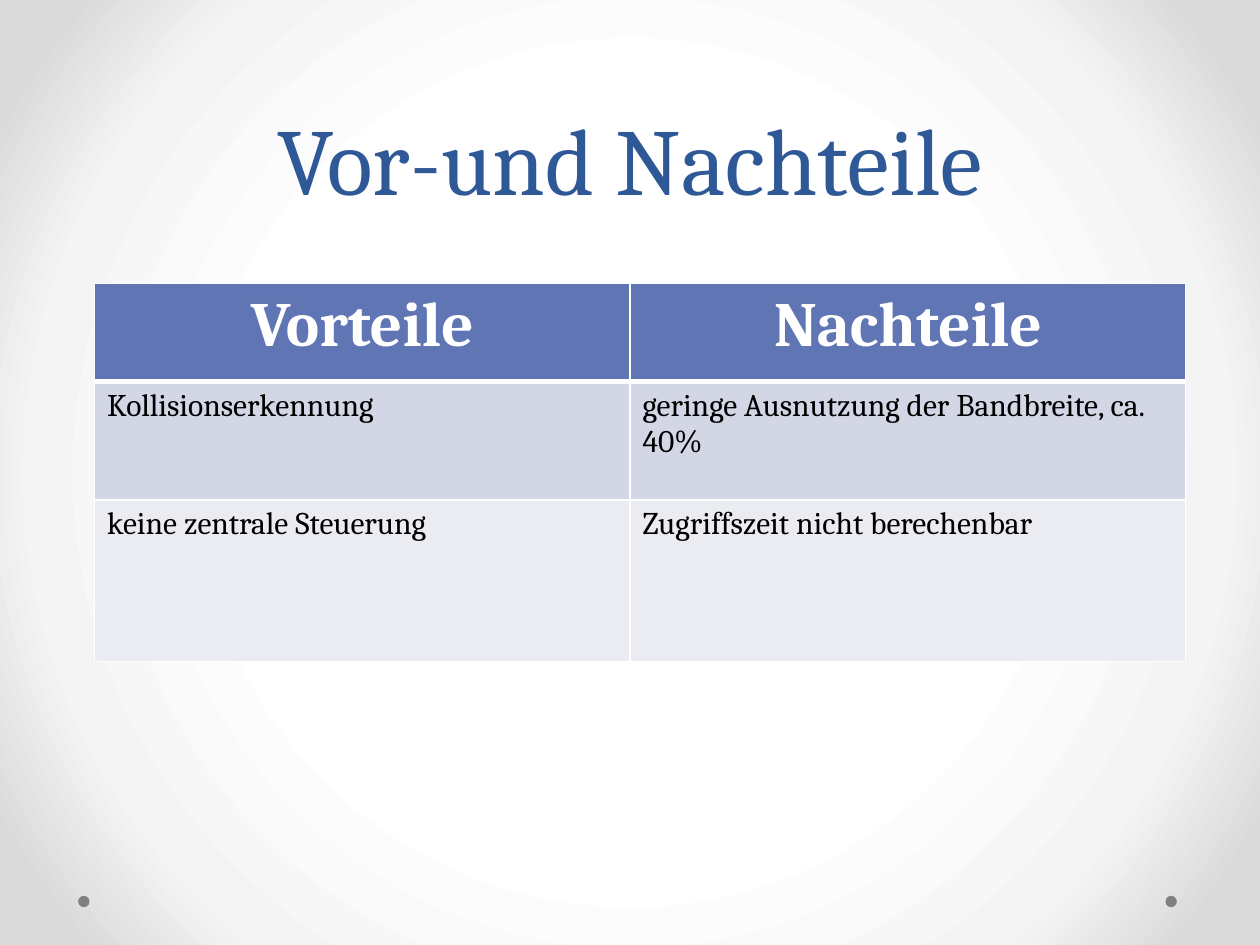
from lxml import etree
from pptx import Presentation
from pptx.dml.color import RGBColor
from pptx.enum.shapes import MSO_SHAPE
from pptx.enum.text import MSO_ANCHOR, PP_ALIGN
from pptx.oxml.ns import qn
from pptx.util import Inches, Pt

OVAL = MSO_SHAPE.OVAL
BOTTOM = MSO_ANCHOR.BOTTOM
CENTER, LEFT = PP_ALIGN.CENTER, PP_ALIGN.LEFT

FONT = "Cambria"
WHITE = RGBColor(0xFF, 0xFF, 0xFF)
BLACK = RGBColor(0x00, 0x00, 0x00)
GREY = RGBColor(0x80, 0x80, 0x80)
TITLE_BLUE = RGBColor(0x2F, 0x58, 0x97)
HEADER_BLUE = RGBColor(0x60, 0x76, 0xB4)
BAND_DARK = RGBColor(0xD2, 0xD6, 0xE5)
BAND_LIGHT = RGBColor(0xEA, 0xEC, 0xF2)
GRADIENT_STOPS = [
    (50, WHITE),
    (76, RGBColor(0xF4, 0xF4, 0xF4)),
    (92, RGBColor(0xDA, 0xDA, 0xDA)),
]

TITLE_FORMAT = {"name": FONT, "size": Pt(54), "bold": False}
HEADER_FORMAT = {"name": FONT, "size": Pt(36), "bold": True}
BODY_FORMAT = {"name": FONT, "size": Pt(18), "bold": False}

ROWS = [
    ("Vorteile", "Nachteile"),
    ("Kollisionserkennung", "geringe Ausnutzung der Bandbreite, ca. 40%"),
    ("keine zentrale Steuerung", "Zugriffszeit nicht berechenbar"),
]
ROW_FILLS = [HEADER_BLUE, BAND_DARK, BAND_LIGHT]
COLUMN_WIDTHS = [4.25, 4.41]
ROW_HEIGHTS = [0.78, 0.94, 1.28]


def write_text(text_frame, text, font_format, color, alignment):
    paragraph = text_frame.paragraphs[0]
    paragraph.alignment = alignment
    run = paragraph.add_run()
    run.text = text
    for name, value in font_format.items():
        setattr(run.font, name, value)
    run.font.color.rgb = color
    return paragraph


def add_color(parent, color):
    etree.SubElement(parent, qn("a:srgbClr"), val=str(color))


def add_background(slide):
    """Radial gradient, white in the centre and grey in the corners."""
    slide.background.fill.gradient()
    gradient = next(slide.element.iter(qn("a:gradFill")))
    for child in list(gradient):
        gradient.remove(child)
    stops = etree.SubElement(gradient, qn("a:gsLst"))
    for position, color in GRADIENT_STOPS:
        stop = etree.SubElement(stops, qn("a:gs"), pos=str(position * 1000))
        add_color(stop, color)
    circle = etree.SubElement(gradient, qn("a:path"), path="circle")
    etree.SubElement(circle, qn("a:fillToRect"),
                     {side: "50000" for side in "ltrb"})


def add_footer_dots(slide, left, top, width, size):
    """One dot at each end of the box."""
    for dot_left in (left, left + width - size):
        dot = slide.shapes.add_shape(OVAL, dot_left, top, size, size)
        dot.shadow.inherit = False
        dot.fill.solid()
        dot.fill.fore_color.rgb = GREY
        dot.line.fill.background()


def add_title(slide, left, top, width, height):
    text_frame = slide.shapes.add_textbox(left, top, width, height).text_frame
    text_frame.word_wrap = True
    text_frame.vertical_anchor = BOTTOM
    paragraph = write_text(text_frame, "Vor-und Nachteile", TITLE_FORMAT,
                           TITLE_BLUE, CENTER)
    paragraph.line_spacing = Pt(58)


def set_borders(cell, widths):
    """Border lines come before the fill in the cell properties."""
    properties = cell._tc.get_or_add_tcPr()
    for index, (side, width) in enumerate(widths.items()):
        line = etree.Element(qn(f"a:ln{side}"), w=str(Pt(width)))
        add_color(etree.SubElement(line, qn("a:solidFill")), WHITE)
        properties.insert(index, line)


def add_comparison_table(slide, left, top, width, height):
    frame = slide.shapes.add_table(len(ROWS), len(COLUMN_WIDTHS),
                                   left, top, width, height)
    table = frame.table
    for column, column_width in zip(table.columns, COLUMN_WIDTHS):
        column.width = Inches(column_width)
    for row_index, texts in enumerate(ROWS):
        table.rows[row_index].height = Inches(ROW_HEIGHTS[row_index])
        is_header = row_index == 0
        for column_index, text in enumerate(texts):
            cell = table.cell(row_index, column_index)
            cell.fill.solid()
            cell.fill.fore_color.rgb = ROW_FILLS[row_index]
            # A thick rule parts the header from the body
            set_borders(cell, {"L": 1, "R": 1,
                               "T": 3 if row_index == 1 else 1,
                               "B": 3 if is_header else 1})
            if is_header:
                write_text(cell.text_frame, text, HEADER_FORMAT, WHITE, CENTER)
            else:
                write_text(cell.text_frame, text, BODY_FORMAT, BLACK, LEFT)


def main():
    presentation = Presentation()
    presentation.slide_width = Inches(10)
    presentation.slide_height = Inches(7.5)
    slide = presentation.slides.add_slide(presentation.slide_layouts[6])

    add_background(slide)
    add_footer_dots(slide, Inches(0.62), Inches(7.11), Inches(8.72), Inches(0.09))
    add_title(slide, Inches(0.5), Inches(0), Inches(9), Inches(1.75))
    add_comparison_table(slide, Inches(0.75), Inches(2.25),
                         Inches(sum(COLUMN_WIDTHS)), Inches(sum(ROW_HEIGHTS)))

    presentation.save("out.pptx")


if __name__ == "__main__":
    main()
